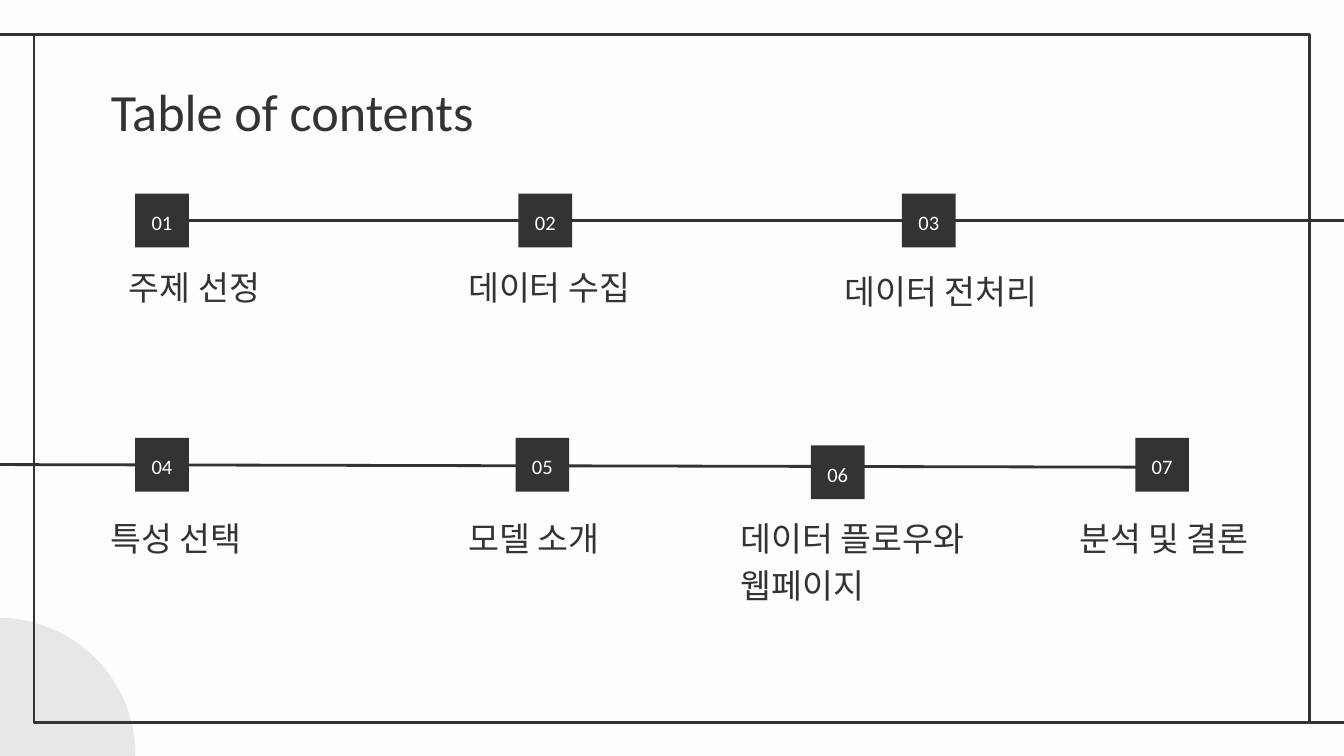
import pptx
import pptx.util
import pptx.dml.color
import pptx.enum.shapes
import pptx.enum.text
import pptx.oxml.ns
import lxml.etree
from dataclasses import dataclass

Pt = pptx.util.Pt
Shape = pptx.enum.shapes.MSO_SHAPE
Anchor = pptx.enum.text.MSO_ANCHOR
Align = pptx.enum.text.PP_ALIGN


@dataclass
class Theme:
    font: str = "Calibri"
    dark = pptx.dml.color.RGBColor.from_string("333333")
    light = pptx.dml.color.RGBColor.from_string("FDFDFD")
    grey = pptx.dml.color.RGBColor.from_string("E8E7E7")
    title: float = 28
    label: float = 18
    badge: float = 11
    line: float = 1.5


theme = Theme()
wide, high = 720, 405

deck = pptx.Presentation()
deck.slide_width, deck.slide_height = Pt(wide), Pt(high)
slide = deck.slides.add_slide(deck.slide_layouts[5])
slide.background.fill.solid()
slide.background.fill.fore_color.rgb = theme.light
shapes = slide.shapes


def write(shape, text, size, color, anchor, align=Align.LEFT, space=1.15):
    """Fill a shape's text frame with one styled run."""
    frame = shape.text_frame
    frame.word_wrap = True
    frame.auto_size = pptx.enum.text.MSO_AUTO_SIZE.NONE
    frame.vertical_anchor = anchor
    frame.margin_left = frame.margin_right = Pt(7.2)
    frame.margin_top = frame.margin_bottom = Pt(7.2)
    para = frame.paragraphs[0]
    para.alignment = align
    para.line_spacing = space
    run = para.add_run()
    run.text = text
    run.font.name = theme.font
    run.font.size = Pt(size)
    run.font.color.rgb = color


# Corner disc and frame
disc = shapes.add_shape(Shape.OVAL, Pt(-74.3), Pt(331), Pt(146.8), Pt(146.8))
disc.shadow.inherit = False
disc.fill.solid()
disc.fill.fore_color.rgb = theme.grey
disc.line.fill.background()

left, top, right, base = 18.2, 18.3, 701.6, 387
frame = shapes.add_shape(Shape.RECTANGLE, Pt(left), Pt(top), Pt(right - left), Pt(base - top))
frame.shadow.inherit = False
frame.fill.background()
frame.line.color.rgb = theme.dark
frame.line.width = Pt(theme.line)

# Frame tails, then the two timelines
for x1, y1, x2, y2 in [
    (left, top, 0, top),
    (wide, base, right, base),
    (626.4, 250.3, 0, 248.9),
    (101.3, 118, wide, 118),
]:
    line = shapes.add_connector(
        pptx.enum.shapes.MSO_CONNECTOR.STRAIGHT, Pt(x1), Pt(y1), Pt(x2), Pt(y2))
    line.line.color.rgb = theme.dark
    line.line.width = Pt(theme.line)
    lxml.etree.SubElement(line.element.spPr, pptx.oxml.ns.qn("a:effectLst"))

title = shapes.title
title.left, title.top, title.width, title.height = Pt(52.2), Pt(35.4), Pt(607), Pt(45.4)
write(title, "Table of contents", theme.title, theme.dark, Anchor.TOP, space=1)

# Each step: badge left and top, then label text, left, top, width, height
side = 28.8
steps = [
    (72.4, 103.8, "주제 선정", 61.9, 141.8, 103, 30.2),
    (277.8, 103.8, "데이터 수집", 243.7, 141.8, 113.8, 30.2),
    (483.2, 103.8, "데이터 전처리", 445.2, 144, 138.2, 30.2),
    (72.4, 234.6, "특성 선택", 52.2, 275.8, 103, 30.2),
    (276.2, 234.6, "모델 소개", 243.7, 275.8, 92.9, 30.2),
    (434.4, 238.6, "데이터 플로우와 웹페이지", 389.5, 279.4, 157, 51.8),
    (608.2, 234.6, "분석 및 결론", 571, 275.8, 113.8, 30.2),
]
for num, (x, y, text, *box) in enumerate(steps, 1):
    badge = shapes.add_shape(Shape.RECTANGLE, Pt(x), Pt(y), Pt(side), Pt(side))
    badge.shadow.inherit = False
    badge.fill.solid()
    badge.fill.fore_color.rgb = theme.dark
    badge.line.fill.background()
    write(badge, f"{num:02}", theme.badge, theme.light, Anchor.MIDDLE, Align.CENTER)
    label = shapes.add_textbox(*map(Pt, box))
    write(label, text, theme.label, theme.dark, Anchor.BOTTOM)

deck.save("out.pptx")
